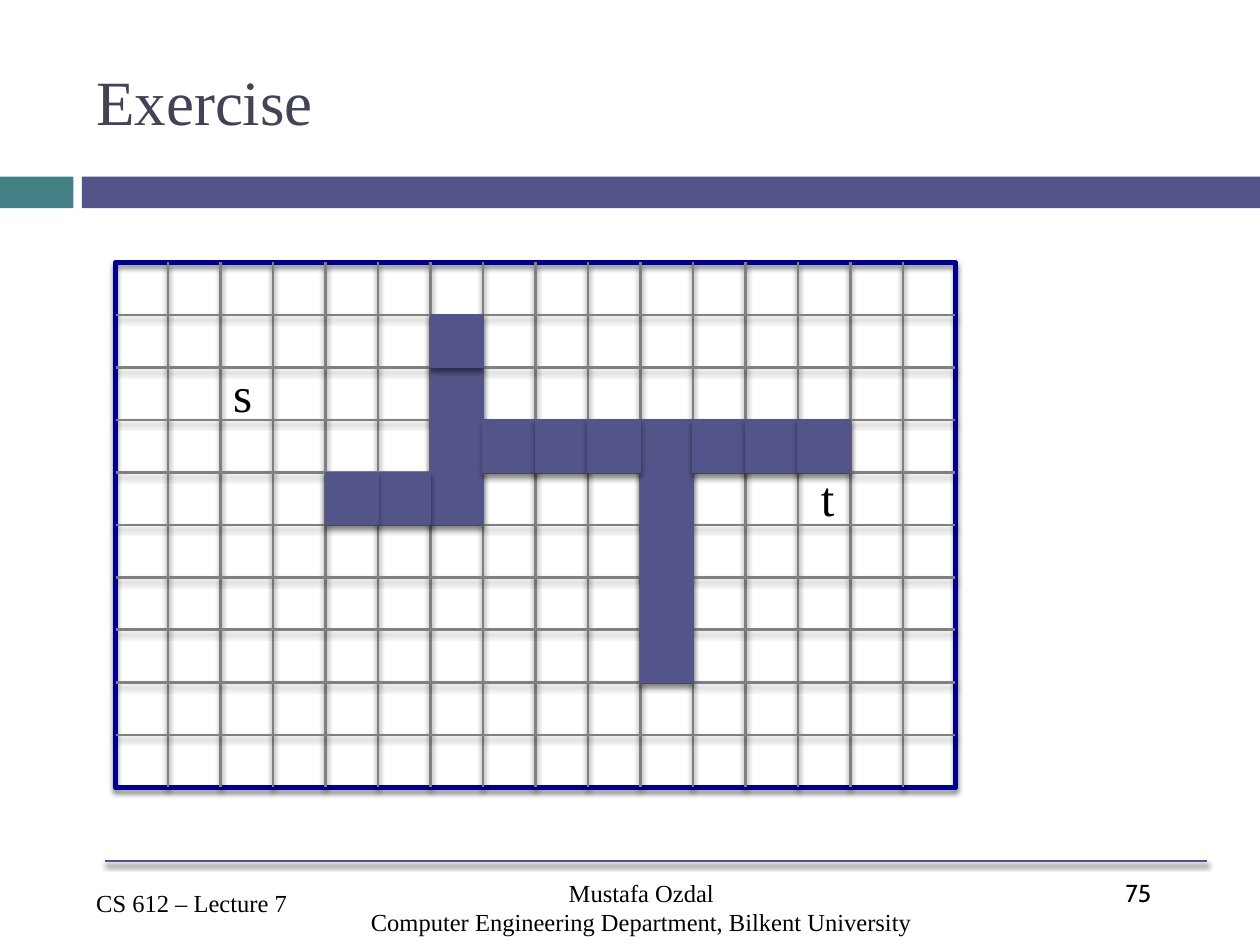
"""Build the routing grid exercise slide."""
from lxml.etree import SubElement
from pptx import Presentation
from pptx.dml.color import RGBColor
from pptx.enum.shapes import MSO_CONNECTOR, MSO_SHAPE
from pptx.enum.text import MSO_ANCHOR, PP_ALIGN
from pptx.oxml.ns import qn
from pptx.util import Cm, Pt

color = RGBColor.from_string
INDIGO = "53548A"
SERIF = "Times New Roman"
COLUMNS, ROWS = 16, 10


def add_text(shapes, text, left, top, width, height, size,
             font="Times New Roman", fill="000000", align=PP_ALIGN.LEFT, wrap=True):
    text_box = shapes.add_textbox(Cm(left), Cm(top), Cm(width), Cm(height))
    text_frame = text_box.text_frame
    text_frame.word_wrap = wrap
    text_frame.text = text
    for paragraph in text_frame.paragraphs:
        paragraph.alignment = align
        for run in paragraph.runs:
            run.font.name = font
            run.font.size = Pt(size)
            run.font.color.rgb = color(fill)
    return text_box


def style_outline(shape, line_color, line_width):
    shape.line.color.rgb = color(line_color)
    shape.line.width = Pt(line_width)
    effects = SubElement(shape.element.spPr, qn("a:effectLst"))
    shadow = SubElement(effects, qn("a:outerShdw"), blurRad=str(Pt(3)), dist=str(Pt(2.4)),
                        dir="5400000", algn="ctr", rotWithShape="0")
    shadow_color = SubElement(shadow, qn("a:srgbClr"), val="000000")
    SubElement(shadow_color, qn("a:alpha"), val="45000")


presentation = Presentation()
presentation.slide_width = Cm(25.4)
presentation.slide_height = Cm(19.05)
slide = presentation.slides.add_slide(presentation.slide_layouts[6])

for left, width, fill in ((0, 1.48, "438086"), (1.65, 23.75, INDIGO)):
    band = slide.shapes.add_shape(MSO_SHAPE.RECTANGLE, Cm(left), Cm(3.56), Cm(width), Cm(0.64))
    band.shadow.inherit = False
    band.fill.solid()
    band.fill.fore_color.rgb = color(fill)
    band.line.fill.background()

footer_rule = slide.shapes.add_connector(
    MSO_CONNECTOR.STRAIGHT, Cm(2.12), Cm(17.36), Cm(24.34), Cm(17.36))
style_outline(footer_rule, INDIGO, 1.5)
add_text(slide.shapes, "75", 22.44, 17.57, 1.9, 1.27, 14, font="Cabin")
add_text(slide.shapes, "CS 612 – Lecture 7", 1.69, 17.78, 4.66, 0.86, 14)
add_text(slide.shapes, "Mustafa Ozdal\nComputer Engineering Department, Bilkent University",
         4.23, 17.57, 17.4, 1.48, 14, align=PP_ALIGN.CENTER)
title = add_text(slide.shapes, "Exercise", 1.69, 0.64, 22.65, 2.75, 36, fill="424456")
title.text_frame.vertical_anchor = MSO_ANCHOR.MIDDLE

board = slide.shapes.add_group_shape().shapes
board_left, board_top = Cm(2.33), Cm(5.29)
cell = Cm(16.93) // COLUMNS
board_right, board_bottom = board_left + COLUMNS * cell, board_top + ROWS * cell

frame = board.add_shape(MSO_SHAPE.RECTANGLE, board_left, board_top, COLUMNS * cell, ROWS * cell)
frame.fill.background()
style_outline(frame, "000090", 3)

for column in range(1, COLUMNS):
    x = board_left + column * cell
    grid_line = board.add_connector(MSO_CONNECTOR.STRAIGHT, x, board_top, x, board_bottom)
    style_outline(grid_line, "808080", 1.5)
    if column == COLUMNS // 2:
        grid_line.begin_connect(frame, 0)
        grid_line.end_connect(frame, 2)

for row in range(1, ROWS):
    y = board_top + row * cell
    grid_line = board.add_connector(MSO_CONNECTOR.STRAIGHT, board_left, y, board_right, y)
    style_outline(grid_line, "808080", 1.5)
    if row == ROWS // 2:
        grid_line.begin_connect(frame, 1)
        grid_line.end_connect(frame, 3)

add_text(board, "s", 4.45, 7.2, 0.88, 1.45, 28, wrap=False)
add_text(board, "t", 16.3, 9.31, 0.79, 1.45, 28, wrap=False)

blocked_cells = [(6, row) for row in (2, 3, 4)]
blocked_cells += [(10, row) for row in range(3, 8)]
blocked_cells += [(6, 1), (5, 4)]
blocked_cells += [(column, 3) for column in (7, 8, 9)]
blocked_cells += [(4, 4)]
blocked_cells += [(column, 3) for column in (11, 12, 13)]
for column, row in blocked_cells:
    obstacle = board.add_shape(
        MSO_SHAPE.RECTANGLE, board_left + column * cell, board_top + row * cell, cell, cell)
    obstacle.fill.solid()
    obstacle.fill.fore_color.rgb = color(INDIGO)
    style_outline(obstacle, INDIGO, 0.79)

presentation.save("out.pptx")
